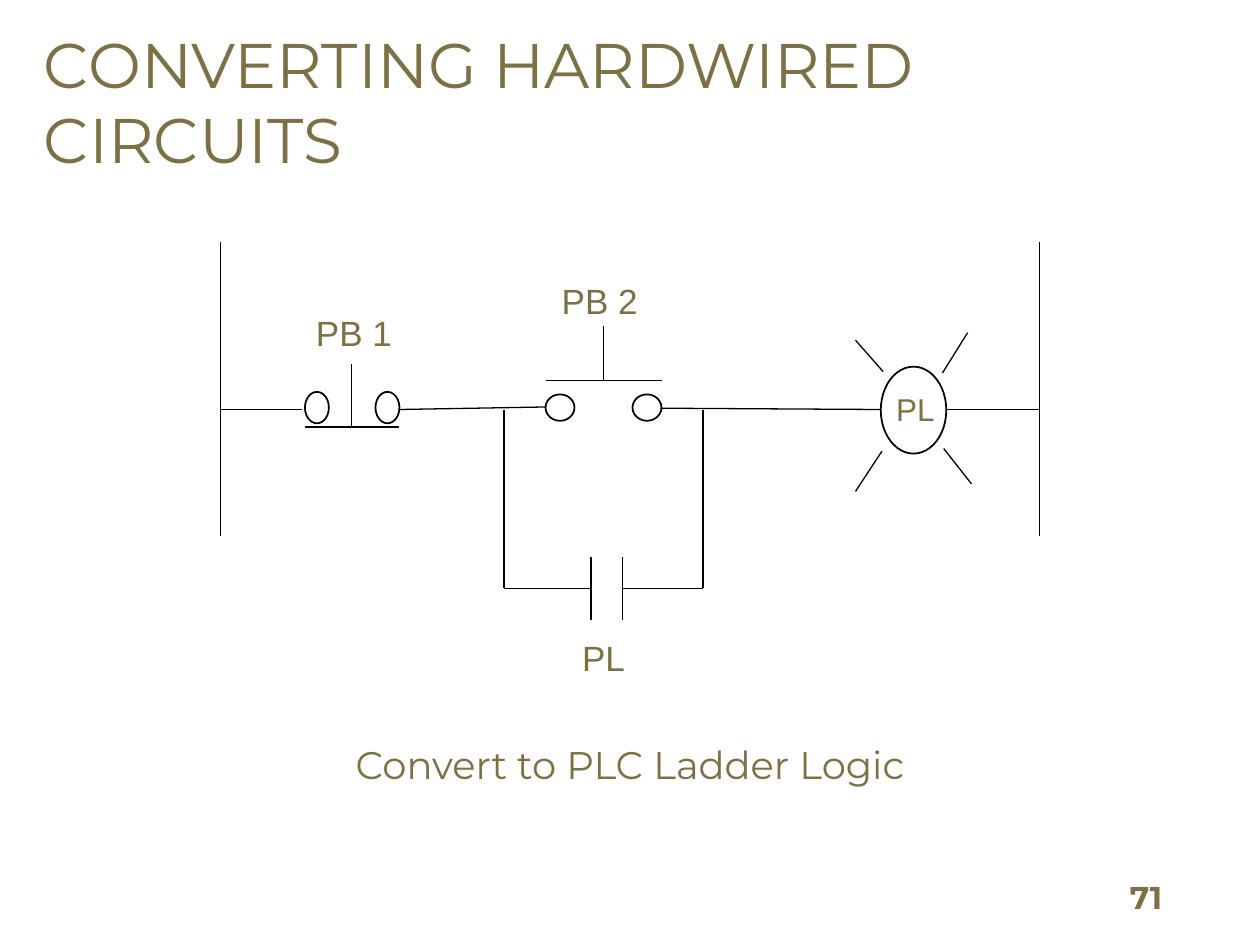
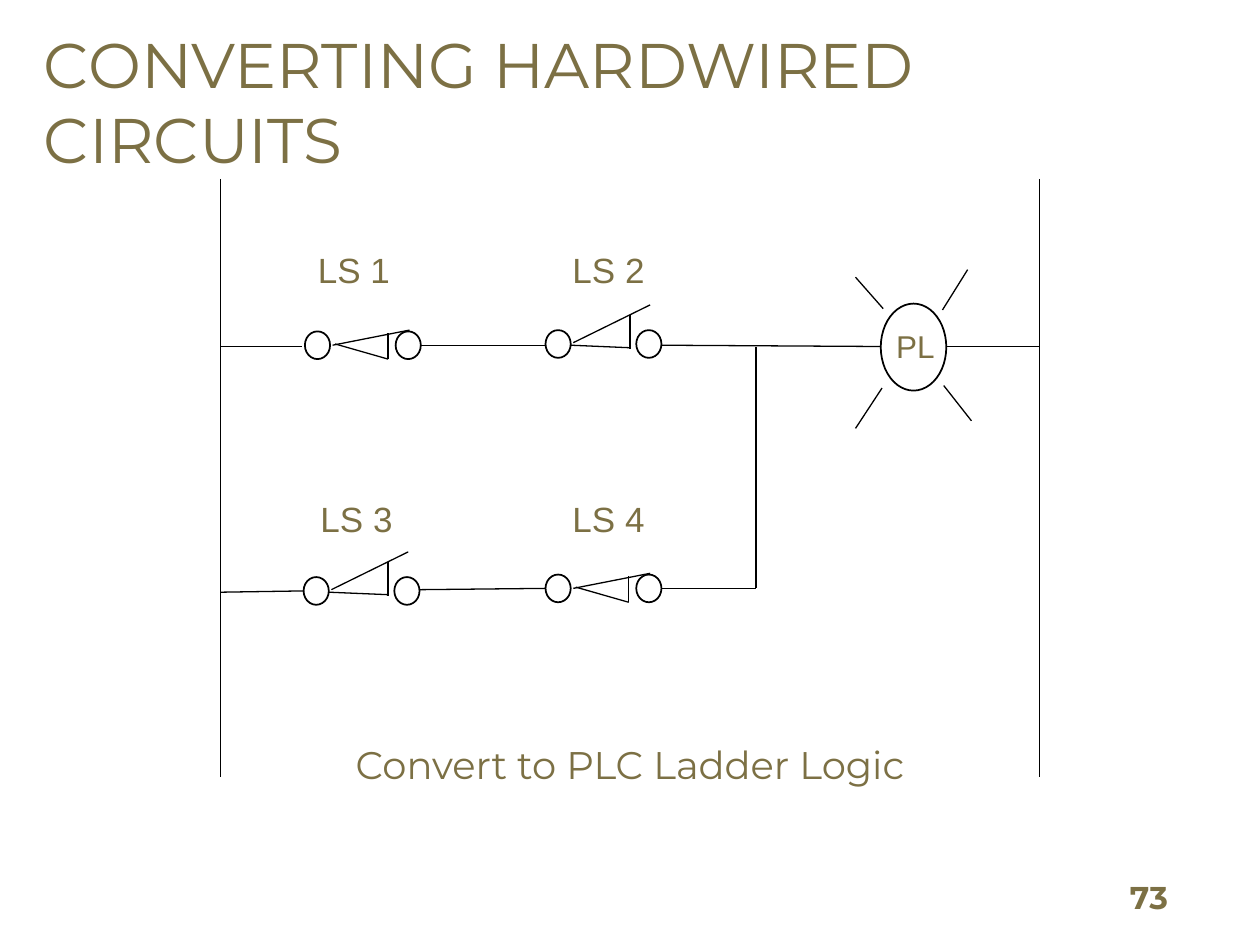
import pptx
import pptx.dml.color
import pptx.enum.shapes
import pptx.enum.text
import pptx.oxml
import pptx.util
from pptx.util import Inches

GOLD = "7C7044"
BLACK = "000000"
HEADING_FONT = "Montserrat"
LABEL_FONT = "Arial"
LEFT_RAIL, RIGHT_RAIL = 1.75, 8.25
ALIGN = pptx.enum.text.PP_ALIGN
ANCHOR = pptx.enum.text.MSO_ANCHOR

CLOSED_ARM = [
    (0.22, 0.11, 0.83, -0.01),
    (0.24, 0.1, 0.66, 0.22),
    (0.66, 0.22, 0.66, 0.01),
]
OPEN_ARM = [
    (0.22, 0.1, 0.83, -0.2),
    (0.2, 0.12, 0.67, 0.14),
    (0.67, 0.15, 0.67, -0.12),
]


def colour(value):
    """Turn a hex string into a colour."""
    return pptx.dml.color.RGBColor.from_string(value)


def add_text(page, box, text, size, font=LABEL_FONT, align=ALIGN.CENTER,
             anchor=ANCHOR.TOP, bold=False):
    """Write one gold paragraph in a box of left, top, width and height."""
    frame = page.shapes.add_textbox(*map(Inches, box)).text_frame
    frame.word_wrap = True
    frame.vertical_anchor = anchor
    para = frame.paragraphs[0]
    para.text = text
    para.alignment = align
    para.font.name = font
    para.font.size = pptx.util.Pt(size)
    para.font.bold = bold
    para.font.color.rgb = colour(GOLD)


def add_wires(page, wires, left=0, top=0, weight=0.75):
    """Draw straight wires, each x1, y1, x2, y2 from the given corner."""
    for x1, y1, x2, y2 in wires:
        wire = page.shapes.add_connector(
            pptx.enum.shapes.MSO_CONNECTOR.STRAIGHT,
            Inches(left + x1), Inches(top + y1),
            Inches(left + x2), Inches(top + y2))
        wire.line.color.rgb = colour(BLACK)
        wire.line.width = pptx.util.Pt(weight)
        wire._element.spPr.append(pptx.oxml.parse_xml(
            '<a:effectLst xmlns:a='
            '"http://schemas.openxmlformats.org/drawingml/2006/main"/>'))


def add_circle(page, left, top, width, height):
    """Draw an unfilled ellipse with a black outline."""
    circle = page.shapes.add_shape(
        pptx.enum.shapes.MSO_SHAPE.OVAL,
        *map(Inches, (left, top, width, height)))
    circle.shadow.inherit = False
    circle.fill.background()
    circle.line.color.rgb = colour(BLACK)
    circle.line.width = pptx.util.Pt(1)


def add_terminals(page, left, top, width, height, pitch):
    """Draw the two terminals of a switch."""
    for offset in (0, pitch):
        add_circle(page, left + offset, top, width, height)


def add_label(page, left, top, text):
    """Name a device above or below its symbol."""
    add_text(page, (left, top, 1, 0.44), text, 20)


def add_pilot_light(page, left, top):
    """Draw the pilot light with its four rays."""
    add_circle(page, left + 0.2, top + 0.27, 0.52, 0.69)
    add_wires(page, [
        (0.7, 0.92, 0.92, 1.2),
        (0, 0.06, 0.22, 0.31),
        (0.69, 0.32, 0.89, 0),
        (0, 1.26, 0.21, 0.94),
    ], left, top)
    add_text(page, (left + 0.14, top + 0.41, 0.67, 0.4), "PL", 18)


def add_limit_switch(page, left, top, arm):
    """Draw a limit switch with an open or closed arm."""
    add_terminals(page, left, top, 0.2, 0.22, 0.72)
    add_wires(page, arm, left, top)


def add_closed_button(page, left, top):
    """Draw a normally closed push button."""
    add_terminals(page, left, top + 0.22, 0.19, 0.25, 0.56)
    add_wires(page, [(0, 0.5, 0.75, 0.5), (0.37, 0, 0.37, 0.5)], left, top)


def add_open_button(page, left, top):
    """Draw a normally open push button."""
    add_terminals(page, left, top + 0.54, 0.23, 0.21, 0.69)
    add_wires(page, [(0, 0.43, 0.92, 0.43), (0.46, 0, 0.46, 0.43)],
              left, top, 1)


def add_seal_in_branch(page, left, top, width, height):
    """Draw the parallel branch with its open contact."""
    plate_left, plate_right, half_plate = 0.69, 0.94, 0.25
    add_wires(page, [
        (0, 0, 0, height),
        (width, 0, width, height),
        (0, height, plate_left, height),
        (plate_right, height, width, height),
    ], left, top)
    add_wires(page, [(x, height - half_plate, x, height + half_plate)
                     for x in (plate_left, plate_right)], left, top)


def add_frame(deck, number, rail_top, rail_bottom):
    """Add a page with title, prompt, number, rails and the light rung end."""
    page = deck.slides.add_slide(deck.slide_layouts[6])
    add_text(page, (8.87, 7.01, 1.06, 0.31), number, 18, HEADING_FONT,
             ALIGN.LEFT, ANCHOR.BOTTOM, True)
    add_text(page, (0.25, 0.15, 9.2, 1.29), "CONVERTING HARDWIRED CIRCUITS",
             36, HEADING_FONT, ALIGN.LEFT)
    add_text(page, (2, 5.83, 6, 0.47), "Convert to PLC Ladder Logic",
             22, HEADING_FONT)
    add_wires(page, [(x, rail_top, x, rail_bottom)
                     for x in (LEFT_RAIL, RIGHT_RAIL)])
    rung = rail_top + 1.33
    add_wires(page, [
        (LEFT_RAIL, 0, 2.4, 0),
        (5.25, -0.01, 6.99, 0),
        (7.51, 0, RIGHT_RAIL, 0),
    ], top=rung)
    add_pilot_light(page, 6.79, rung - 0.61)
    return page


def build_push_button_slide(deck):
    """Build the push button circuit with a seal-in contact."""
    page = add_frame(deck, "71", 1.92, 4.25)
    add_wires(page, [(3.17, 3.25, 4.33, 3.23)])
    add_closed_button(page, 2.42, 2.89)
    add_open_button(page, 4.33, 2.59)
    add_seal_in_branch(page, 4, 3.25, 1.58, 1.42)
    add_label(page, 2.31, 2.42, "PB 1")
    add_label(page, 4.26, 2.17, "PB 2")
    add_label(page, 4.29, 5, "PL")


def build_limit_switch_slide(deck):
    """Build the limit switch circuit with two parallel rungs."""
    page = add_frame(deck, "73", 1.42, 6.17)
    add_wires(page, [
        (3.33, 2.74, 4.33, 2.74),
        (LEFT_RAIL, 4.7, 2.41, 4.69),
        (3.33, 4.68, 4.33, 4.67),
        (5.25, 4.67, 6, 4.67),
        (6, 4.67, 6, 2.75),
    ])
    switches = [
        ("LS 1", 2.42, 2.63, CLOSED_ARM, 2.31, 1.92),
        ("LS 2", 4.33, 2.62, OPEN_ARM, 4.33, 1.92),
        ("LS 3", 2.41, 4.58, OPEN_ARM, 2.33, 3.9),
        ("LS 4", 4.33, 4.56, CLOSED_ARM, 4.33, 3.9),
    ]
    for name, left, top, arm, label_left, label_top in switches:
        add_limit_switch(page, left, top, arm)
        add_label(page, label_left, label_top, name)


def main():
    """Build and save the deck."""
    deck = pptx.Presentation()
    deck.slide_width, deck.slide_height = Inches(10), Inches(7.5)
    build_push_button_slide(deck)
    build_limit_switch_slide(deck)
    deck.save("out.pptx")


if __name__ == "__main__":
    main()
